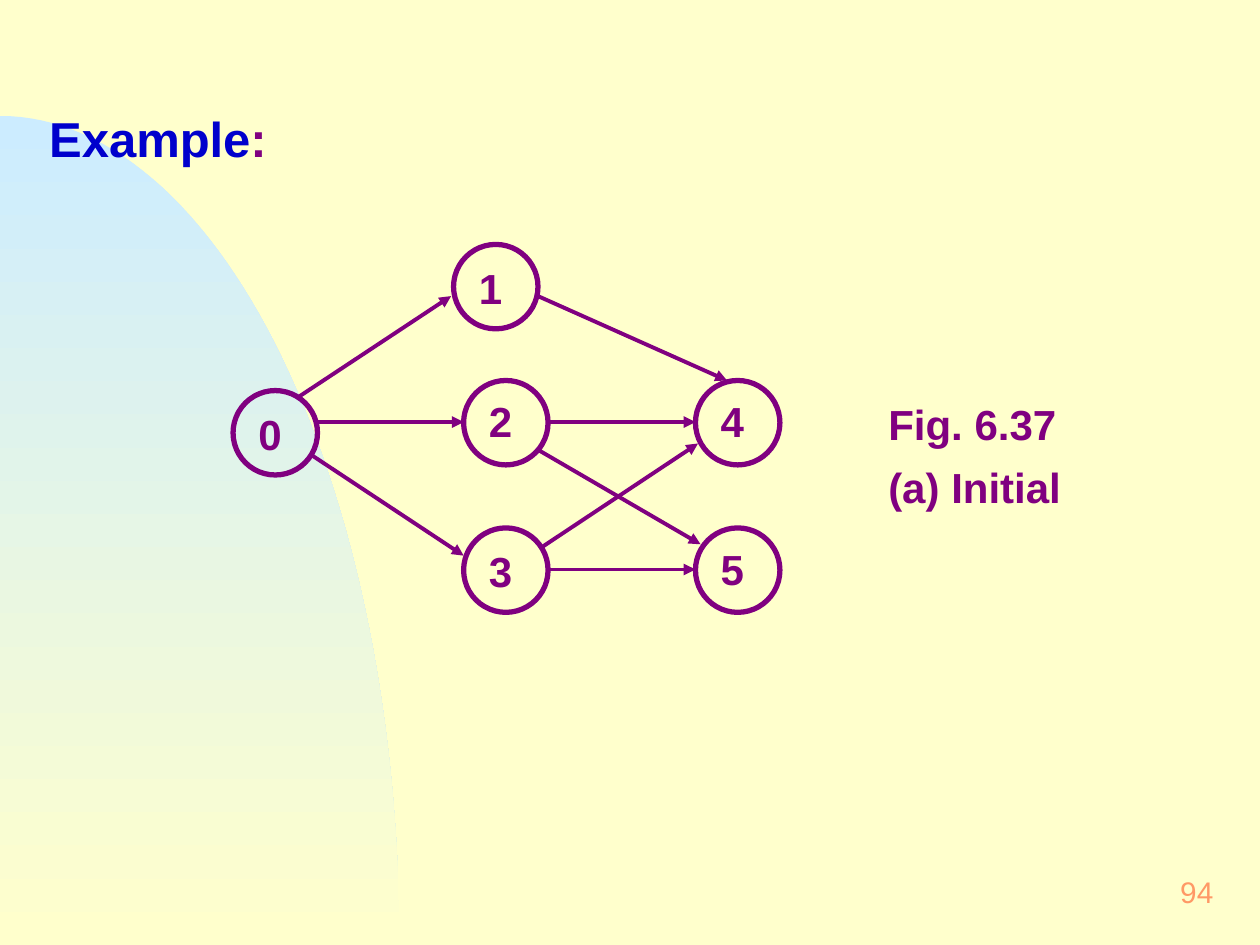
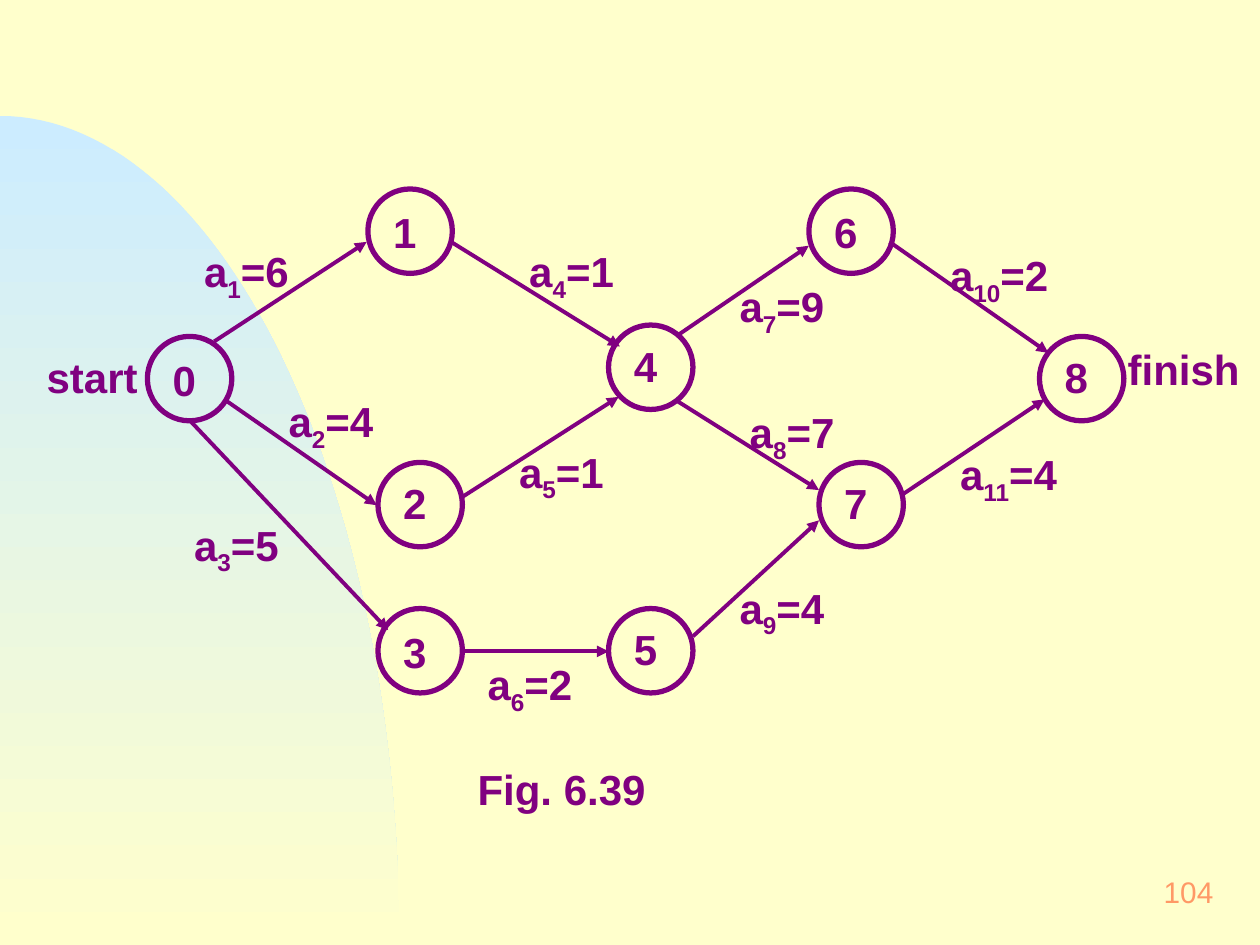
from math import cos, pi, sin

from lxml import etree
from pptx import Presentation
from pptx.dml.color import RGBColor
from pptx.enum.shapes import MSO_CONNECTOR as Connector, MSO_SHAPE as Shape
from pptx.enum.text import MSO_ANCHOR as Anchor, PP_ALIGN as Align
from pptx.oxml.ns import qn
from pptx.util import Inches, Pt

CREAM = RGBColor(0xFF, 0xFF, 0xCC)
SKY = RGBColor(0xCC, 0xEC, 0xFF)
PURPLE = RGBColor(0x80, 0x00, 0x80)
BLUE = RGBColor(0x00, 0x00, 0xCC)
ORANGE = RGBColor(0xFF, 0x99, 0x66)
FONT = "Arial"
TITLE_ONLY, BLANK = 5, 6
NODE_SIZE = 0.67

# Positions are relative to the top left corner of each network.
INITIAL_NODES = [(0, 1.16), (1.75, 0), (1.83, 1.08), (1.83, 2.25),
                 (3.67, 1.08), (3.67, 2.25)]
INITIAL_ARROWS = [
    ((0.52, 1.21), (1.73, 0.41)),
    ((0.67, 1.41), (1.83, 1.41)),
    ((0.62, 1.67), (1.83, 2.47)),
    ((2.42, 0.41), (3.92, 1.08)),
    ((2.5, 1.41), (3.67, 1.41)),
    ((2.42, 1.63), (3.71, 2.38)),
    ((2.44, 2.41), (3.69, 1.58)),
    ((2.5, 2.58), (3.67, 2.58)),
]
ACTIVITY_NODES = [(0, 1.17), (1.75, 0), (1.83, 2.17), (1.83, 3.33), (3.66, 1.08),
                  (3.66, 3.33), (5.25, 0), (5.33, 2.17), (7.08, 1.17)]
# Start, end, label position and duration of activities a1 to a11.
ACTIVITIES = [
    ((0.53, 1.21), (1.74, 0.42), (0.33, 0.39), 6),
    ((0.61, 1.67), (1.82, 2.51), (1, 1.58), 4),
    ((0.33, 1.83), (1.91, 3.5), (0.25, 2.56), 5),
    ((2.41, 0.42), (3.75, 1.25), (2.91, 0.39), 1),
    ((2.49, 2.45), (3.74, 1.65), (2.83, 1.98), 1),
    ((2.5, 3.67), (3.66, 3.67), (2.58, 3.67), 2),
    ((4.21, 1.16), (5.25, 0.45), (4.58, 0.67), 9),
    ((4.2, 1.68), (5.33, 2.39), (4.66, 1.67), 7),
    ((4.33, 3.55), (5.33, 2.63), (4.58, 3.06), 4),
    ((5.89, 0.42), (7.15, 1.3), (6.25, 0.42), 2),
    ((6, 2.42), (7.12, 1.67), (6.33, 2), 4),
]


def style_run(run, size=24, color=PURPLE, bold=True):
    font = run.font
    font.name, font.size, font.bold = FONT, Pt(size), bold
    font.color.rgb = color


def set_frame(frame):
    frame.word_wrap = True
    frame.margin_left = frame.margin_right = Inches(0.12)
    frame.margin_top = frame.margin_bottom = Inches(0.06)


def add_text(slide, left, top, width, height, lines, **style):
    """Add a text box; each line is a list of its runs."""
    box = slide.shapes.add_textbox(*map(Inches, (left, top, width, height)))
    frame = box.text_frame
    set_frame(frame)
    for index, texts in enumerate(lines):
        paragraph = frame.add_paragraph() if index else frame.paragraphs[0]
        if index:
            paragraph.space_before = Pt(7.2)
        for text in texts:
            run = paragraph.add_run()
            run.text = text
            style_run(run, **style)
    return frame


def set_master(presentation):
    """Give the master its background and the quarter ellipse at the left."""
    master = presentation.slide_master
    master.background.fill.solid()
    master.background.fill.fore_color.rgb = CREAM

    width, height, top, steps = 3.17, 6.58, 0.92, 60
    angles = [pi / 2 * step / steps for step in range(1, steps + 1)]
    arc = [(Inches(width * sin(angle)), Inches(top + height * (1 - cos(angle))))
           for angle in angles]
    builder = presentation.slides[0].shapes.build_freeform(0, Inches(top))
    builder.add_line_segments(arc + [(0, Inches(top + height))])
    hill = builder.convert_to_shape()
    hill.shadow.inherit = False
    hill.line.fill.background()
    hill.fill.gradient()
    hill.fill.gradient_angle = 270
    for stop, color in zip(hill.fill.gradient_stops, (SKY, CREAM)):
        stop.color.rgb = color
    master.shapes.element.insert(2, hill.element)


def add_page_number(slide, number):
    frame = add_text(slide, 7.67, 6.83, 2.08, 0.5, [[number]],
                     size=17, color=ORANGE, bold=False)
    frame.vertical_anchor = Anchor.MIDDLE
    frame.paragraphs[0].alignment = Align.RIGHT


def set_title(slide):
    title = slide.shapes.title
    title.left, title.top, title.width, title.height = map(
        Inches, (0.27, 0.8, 9.58, 0.59))
    set_frame(title.text_frame)
    title.text_frame.vertical_anchor = Anchor.TOP
    paragraph = title.text_frame.paragraphs[0]
    paragraph.alignment = Align.LEFT
    for text, color in (("Example", BLUE), (":", PURPLE)):
        run = paragraph.add_run()
        run.text = text
        style_run(run, size=28, color=color)


def add_node(slide, left, top, number):
    circle = slide.shapes.add_shape(
        Shape.OVAL, *map(Inches, (left, top, NODE_SIZE, NODE_SIZE)))
    circle.shadow.inherit = False
    circle.fill.background()
    circle.line.color.rgb = PURPLE
    circle.line.width = Pt(3)
    drop = 0.08 if number in (0, 1, 3, 6) else 0.06
    add_text(slide, left + 0.08, top + drop, 0.42, 0.52, [[str(number)]])


def add_arrow(slide, left, top, start, end):
    points = (left + start[0], top + start[1], left + end[0], top + end[1])
    arrow = slide.shapes.add_connector(Connector.STRAIGHT, *map(Inches, points))
    arrow.line.color.rgb = PURPLE
    arrow.line.width = Pt(2.25)
    etree.SubElement(arrow.line._get_or_add_ln(), qn("a:tailEnd"), type="triangle")
    etree.SubElement(arrow.element.spPr, qn("a:effectLst"))


def add_network(slide, left, top, nodes, arrows):
    for number, (x, y) in enumerate(nodes):
        add_node(slide, left + x, top + y, number)
    for start, end in arrows:
        add_arrow(slide, left, top, start, end)


def add_activity_label(slide, left, top, number, duration):
    frame = add_text(slide, left, top, 1.17, 0.58,
                     [["a", str(number), f"={duration}"]])
    subscript = frame.paragraphs[0].runs[1]
    subscript._r.get_or_add_rPr().set("baseline", "-25000")


def fill_initial_slide(slide):
    set_title(slide)
    add_network(slide, 1.85, 1.94, INITIAL_NODES, INITIAL_ARROWS)
    add_text(slide, 6.93, 3.1, 1.92, 1.01, [["Fig. 6.37"], ["(a) Initial"]])
    add_page_number(slide, "94")


def fill_activity_slide(slide):
    left, top = 1.17, 1.5
    add_network(slide, left, top, ACTIVITY_NODES,
                [activity[:2] for activity in ACTIVITIES])
    for number, (_, _, (x, y), duration) in enumerate(ACTIVITIES, 1):
        add_activity_label(slide, left + x, top + y, number, duration)
    add_text(slide, 0.25, 2.73, 1.17, 0.52, [["start"]])
    add_text(slide, 8.83, 2.67, 1.17, 0.52, [["finish"]])
    add_text(slide, 3.67, 6, 1.75, 0.52, [["Fig. 6.39"]])
    add_page_number(slide, "104")


def main():
    presentation = Presentation()
    presentation.slide_width, presentation.slide_height = Inches(10), Inches(7.5)
    layouts = presentation.slide_layouts
    initial_slide = presentation.slides.add_slide(layouts[TITLE_ONLY])
    activity_slide = presentation.slides.add_slide(layouts[BLANK])
    set_master(presentation)
    fill_initial_slide(initial_slide)
    fill_activity_slide(activity_slide)
    presentation.save("out.pptx")


if __name__ == "__main__":
    main()
